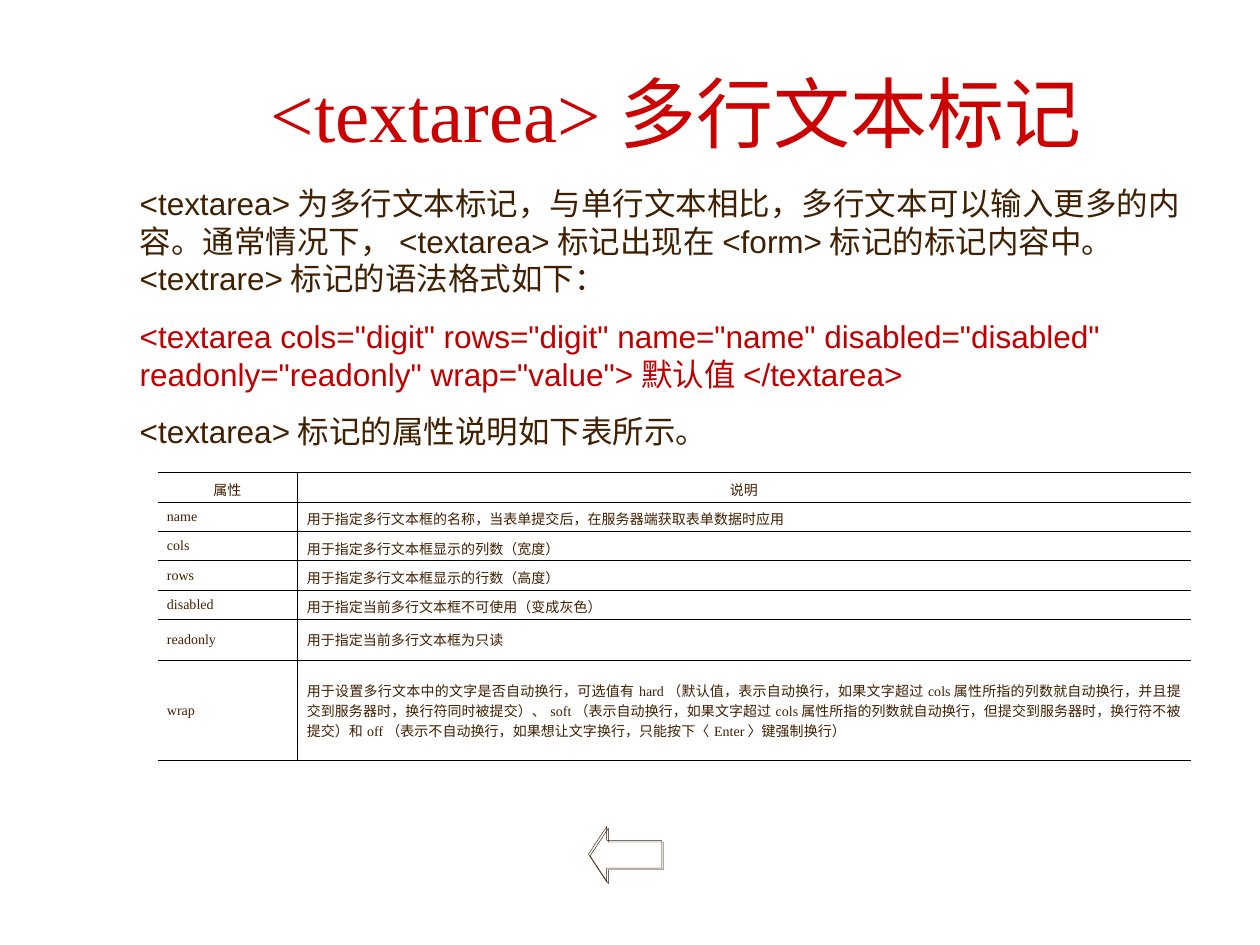
"""Build a slide that explains the textarea tag and its attributes."""
import lxml.etree
import pptx
import pptx.dml.color
import pptx.enum.shapes
import pptx.enum.text
import pptx.oxml.ns
import pptx.util

Inches, Pt = pptx.util.Inches, pptx.util.Pt
Align = pptx.enum.text.PP_ALIGN
Middle = pptx.enum.text.MSO_ANCHOR.MIDDLE
AutoSize = pptx.enum.text.MSO_AUTO_SIZE
qn = pptx.oxml.ns.qn

BROWN = pptx.dml.color.RGBColor(0x40, 0x20, 0x00)
RED = pptx.dml.color.RGBColor(0xC0, 0x00, 0x00)
TITLE_RED = pptx.dml.color.RGBColor(0xCC, 0x00, 0x00)
BLACK = pptx.dml.color.RGBColor(0x00, 0x00, 0x00)
SHADOW = pptx.dml.color.RGBColor(0x26, 0x13, 0x00)

TEXT_LEFT, TEXT_WIDTH = Inches(1.01), Inches(8.72)
COLUMN_WIDTHS = (1.11, 7.09)
ROW_HEIGHTS = (0.22,) * 5 + (0.32, 0.8)

INTRODUCTION = (
    ("<textarea>为多行文本标记，与单行文本相比，多行文本可以输入更多的内容。通常情况下，"
     "<textarea>标记出现在<form>标记的标记内容中。<textrare>标记的语法格式如下：", BROWN),
    ('<textarea cols="digit" rows="digit" name="name" disabled="disabled" '
     'readonly="readonly" wrap="value">默认值</textarea>', RED),
    ("<textarea>标记的属性说明如下表所示。", BROWN),
)

ATTRIBUTES = (
    ("属性", "说明"),
    ("name", "用于指定多行文本框的名称，当表单提交后，在服务器端获取表单数据时应用"),
    ("cols", "用于指定多行文本框显示的列数（宽度）"),
    ("rows", "用于指定多行文本框显示的行数（高度）"),
    ("disabled", "用于指定当前多行文本框不可使用（变成灰色）"),
    ("readonly", "用于指定当前多行文本框为只读"),
    ("wrap", "用于设置多行文本中的文字是否自动换行，可选值有hard（默认值，表示自动换行，"
             "如果文字超过cols属性所指的列数就自动换行，并且提交到服务器时，换行符同时被提交）、"
             "soft（表示自动换行，如果文字超过cols属性所指的列数就自动换行，但提交到服务器时，"
             "换行符不被提交）和off（表示不自动换行，如果想让文字换行，只能按下〈Enter〉键强制换行）"),
)


def write(para, text, size, font, color, align=Align.LEFT):
    """Put text in a paragraph, keep punctuation inside and format its runs."""
    para.text = text
    para.alignment = align
    para._p.get_or_add_pPr().set("hangingPunct", "0")
    for span in para.runs:
        span.font.size = Pt(size)
        span.font.name = font
        span.font.color.rgb = color


def add_title(slide, text):
    """Place and format the title placeholder."""
    title = slide.shapes.title
    title.left, title.top = TEXT_LEFT, Inches(0.55)
    title.width, title.height = TEXT_WIDTH, Inches(0.67)
    frame = title.text_frame
    frame.auto_size = AutoSize.NONE
    frame.vertical_anchor = Middle
    write(frame.paragraphs[0], text, 44, "Times New Roman", TITLE_RED, Align.CENTER)


def add_introduction(slide, paragraphs):
    """Add the text box with one coloured paragraph per entry."""
    box = slide.shapes.add_textbox(TEXT_LEFT, Inches(1.41), TEXT_WIDTH, Inches(2.22))
    frame = box.text_frame
    frame.word_wrap = True
    frame.auto_size = AutoSize.SHAPE_TO_FIT_TEXT
    for index, (text, color) in enumerate(paragraphs):
        para = frame.add_paragraph() if index else frame.paragraphs[0]
        write(para, text, 18, "Arial", color)
        para.space_before = Pt(11.2)


def set_borders(cell, visible):
    """Draw the named cell edges as thin lines and hide the others."""
    properties = cell._tc.get_or_add_tcPr()
    for index, edge in enumerate(("lnL", "lnR", "lnT", "lnB")):
        line = lxml.etree.Element(qn("a:" + edge), w=str(Pt(0.45)))
        if edge in visible:
            fill = lxml.etree.SubElement(line, qn("a:solidFill"))
            lxml.etree.SubElement(fill, qn("a:srgbClr"), val=str(BLACK))
        else:
            lxml.etree.SubElement(line, qn("a:noFill"))
        properties.insert(index, line)


def fill_cell(cell, text, align, inner_edge):
    """Write and format one table cell."""
    cell.fill.background()
    cell.vertical_anchor = Middle
    cell.margin_left = cell.margin_right = Pt(5.4)
    cell.margin_top = cell.margin_bottom = Inches(0.05)
    para = cell.text_frame.paragraphs[0]
    write(para, text, 8, "Times New Roman", BROWN, align)
    para.space_before = para.space_after = Pt(1.2)
    set_borders(cell, (inner_edge, "lnT", "lnB"))


def add_attribute_table(slide, records):
    """Add the two-column table of attributes."""
    frame = slide.shapes.add_table(
        len(records), len(COLUMN_WIDTHS), Inches(1.25), Inches(3.75),
        Inches(sum(COLUMN_WIDTHS)), Inches(sum(ROW_HEIGHTS)))
    table = frame.table
    table.first_row = table.horz_banding = False
    for column, width in zip(table.columns, COLUMN_WIDTHS):
        column.width = Inches(width)
    for row, height, record in zip(table.rows, ROW_HEIGHTS, records):
        row.height = Inches(height)
        align = Align.CENTER if record is records[0] else Align.JUSTIFY
        for cell, text, inner_edge in zip(row.cells, record, ("lnR", "lnL")):
            fill_cell(cell, text, align, inner_edge)


def add_back_arrow(slide):
    """Add the outlined left arrow with its hard shadow."""
    arrow = slide.shapes.add_shape(
        pptx.enum.shapes.MSO_SHAPE.LEFT_ARROW,
        Inches(4.67), Inches(6.56), Inches(0.58), Inches(0.44))
    arrow.adjustments[1] = 0.33
    arrow.fill.background()
    arrow.line.color.rgb = BROWN
    arrow.line.width = Pt(0.25)
    arrow.shadow.inherit = False
    effects = arrow._element.spPr.find(qn("a:effectLst"))
    shadow = lxml.etree.SubElement(
        effects, qn("a:outerShdw"), dist=str(Pt(1.4)), dir=str(45 * 60000),
        algn="ctr", rotWithShape="0")
    lxml.etree.SubElement(shadow, qn("a:srgbClr"), val=str(SHADOW))


def main():
    """Build and save the deck."""
    deck = pptx.Presentation()
    deck.slide_width, deck.slide_height = Inches(10), Inches(7.5)
    slide = deck.slides.add_slide(deck.slide_layouts[5])
    add_title(slide, "<textarea>多行文本标记")
    add_introduction(slide, INTRODUCTION)
    add_back_arrow(slide)
    add_attribute_table(slide, ATTRIBUTES)
    deck.save("out.pptx")


if __name__ == "__main__":
    main()
